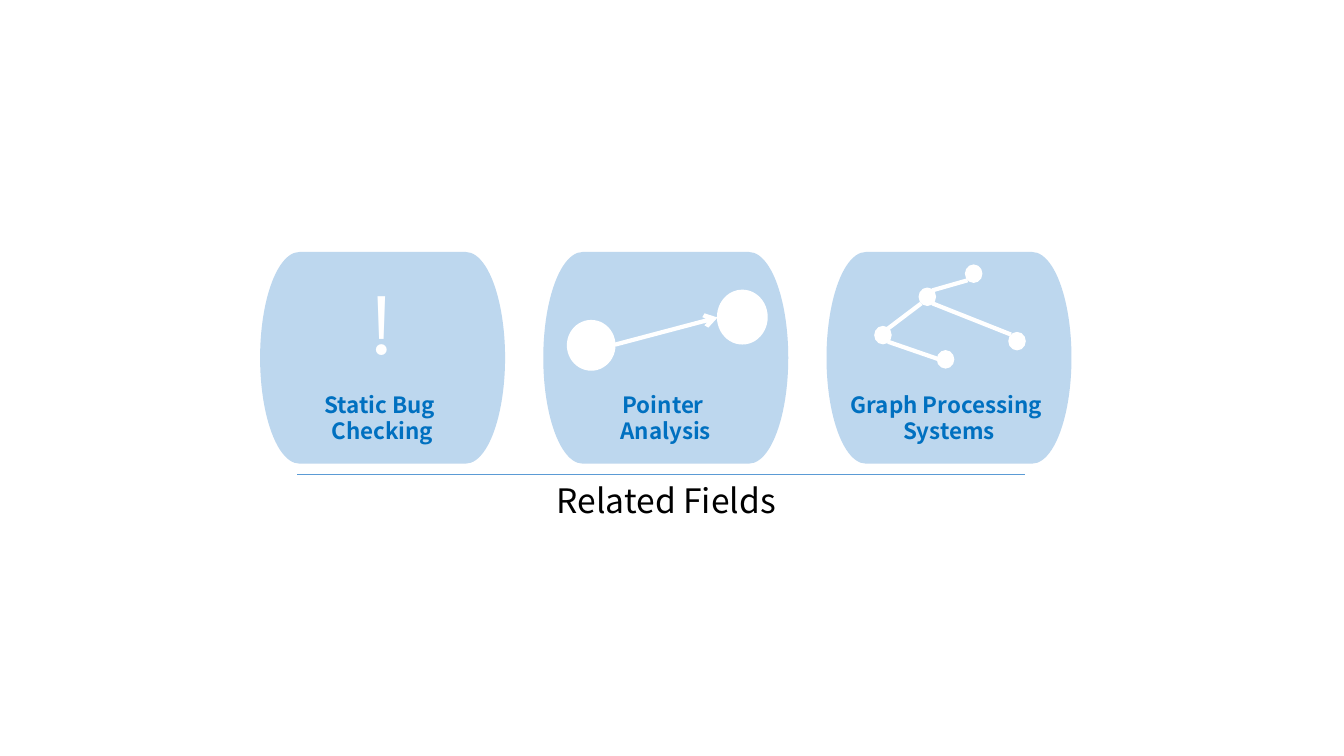
from pptx import Presentation
from pptx.dml.color import RGBColor
from pptx.enum.shapes import MSO_CONNECTOR, MSO_SHAPE
from pptx.enum.text import MSO_ANCHOR, MSO_AUTO_SIZE, PP_ALIGN
from pptx.oxml.ns import qn
from pptx.util import Pt
from lxml.etree import SubElement

WHITE = RGBColor(0xFF, 0xFF, 0xFF)
BLACK = RGBColor(0x00, 0x00, 0x00)
PALE_BLUE = RGBColor(0xBD, 0xD7, 0xEE)
LABEL_BLUE = RGBColor(0x00, 0x70, 0xC0)
RULE_BLUE = RGBColor(0x5B, 0x9B, 0xD5)

LABEL_FONT = "Noto Sans CJK TC"
MARK_FONT = "League Spartan"

CARD_LEFT, CARD_TOP, CARD_PITCH = 185.8, 180, 202.3
CARD_WIDTH, CARD_HEIGHT = 175, 151.2
NODE_WIDTH, NODE_HEIGHT = 11.5, 12.2


def add_run(paragraph, text, size, color, font=LABEL_FONT, bold=False):
    run = paragraph.add_run()
    run.text = text
    run.font.name = font
    run.font.size = Pt(size)
    run.font.bold = bold
    run.font.color.rgb = color


def add_card(slide, column, label_lines):
    """Add a group holding the pale card and its label, and return it."""
    group = slide.shapes.add_group_shape()
    card = group.shapes.add_shape(
        MSO_SHAPE.FLOWCHART_TERMINATOR,
        Pt(CARD_LEFT + column * CARD_PITCH), Pt(CARD_TOP),
        Pt(CARD_WIDTH), Pt(CARD_HEIGHT))
    card.shadow.inherit = False
    card.fill.solid()
    card.fill.fore_color.rgb = PALE_BLUE
    card.line.fill.background()

    # The label sits below the icon
    frame = card.text_frame
    frame.word_wrap = True
    frame.vertical_anchor = MSO_ANCHOR.TOP
    frame.margin_top, frame.margin_bottom = Pt(77), Pt(0)
    for index, line in enumerate(label_lines):
        paragraph = frame.add_paragraph() if index else frame.paragraphs[0]
        paragraph.alignment = PP_ALIGN.CENTER
        add_run(paragraph, line, 16, LABEL_BLUE, bold=True)
    return group


def add_circle(group, left, top, width, height):
    circle = group.shapes.add_shape(
        MSO_SHAPE.OVAL, Pt(left), Pt(top), Pt(width), Pt(height))
    circle.shadow.inherit = False
    circle.fill.solid()
    circle.fill.fore_color.rgb = WHITE
    circle.line.color.rgb = WHITE
    circle.line.width = Pt(1)


def add_line(parent, start, end, color=WHITE, width=3, arrow=False):
    line = parent.shapes.add_connector(
        MSO_CONNECTOR.STRAIGHT, *map(Pt, start + end))
    line.line.color.rgb = color
    line.line.width = Pt(width)
    if arrow:
        SubElement(line.line._get_or_add_ln(), qn("a:tailEnd"), type="arrow")
    SubElement(line._element.spPr, qn("a:effectLst"))


def add_exclamation_mark(group):
    mark = group.shapes.add_textbox(Pt(257), Pt(189.4), Pt(34.6), Pt(79.9))
    mark.text_frame.word_wrap = False
    mark.text_frame.auto_size = MSO_AUTO_SIZE.SHAPE_TO_FIT_TEXT
    add_run(mark.text_frame.paragraphs[0], "!", 60, WHITE, MARK_FONT)


def add_pointer(group):
    add_line(group, (439.2, 246.2), (512.6, 226.8), arrow=True)
    add_circle(group, 405.4, 229, 33.8, 35.3)
    add_circle(group, 512.6, 207.4, 35.3, 38.2)


def add_graph(group):
    edges = [((634.3, 234.7), (658.1, 216.7)),
             ((634.3, 244.1), (669.6, 256.3)),
             ((722.2, 239), (666, 216.7)),
             ((691.2, 200.2), (666, 207.4))]
    node_centers = [(662.4, 212), (630.7, 239.4), (675.4, 256.7),
                    (726.5, 243.7), (695.5, 195.5)]
    for start, end in edges:
        add_line(group, start, end)
    for x, y in node_centers:
        add_circle(group, x - NODE_WIDTH / 2, y - NODE_HEIGHT / 2,
                   NODE_WIDTH, NODE_HEIGHT)


def set_title(slide, text):
    title = slide.shapes.title
    title.left, title.top = Pt(193.7), Pt(339.1)
    title.width, title.height = Pt(564.5), Pt(36)
    frame = title.text_frame
    frame.word_wrap = True
    frame.auto_size = MSO_AUTO_SIZE.NONE
    frame.vertical_anchor = MSO_ANCHOR.TOP
    paragraph = frame.paragraphs[0]
    paragraph.alignment = PP_ALIGN.CENTER
    paragraph.line_spacing = 1.0
    add_run(paragraph, text, 24, BLACK)


def main():
    deck = Presentation()
    deck.slide_width, deck.slide_height = Pt(960), Pt(540)
    slide = deck.slides.add_slide(deck.slide_layouts[5])

    # Three fields, each a card with an icon
    add_exclamation_mark(add_card(slide, 0, ["Static Bug ", "Checking"]))
    add_pointer(add_card(slide, 1, ["Pointer ", "Analysis"]))
    add_graph(add_card(slide, 2, ["Graph Processing ", "Systems"]))

    # Heading under the rule
    set_title(slide, "Related Fields")
    add_line(slide, (212.4, 339.1), (732.2, 339.1), RULE_BLUE, 0.5)

    deck.save("out.pptx")


if __name__ == "__main__":
    main()
